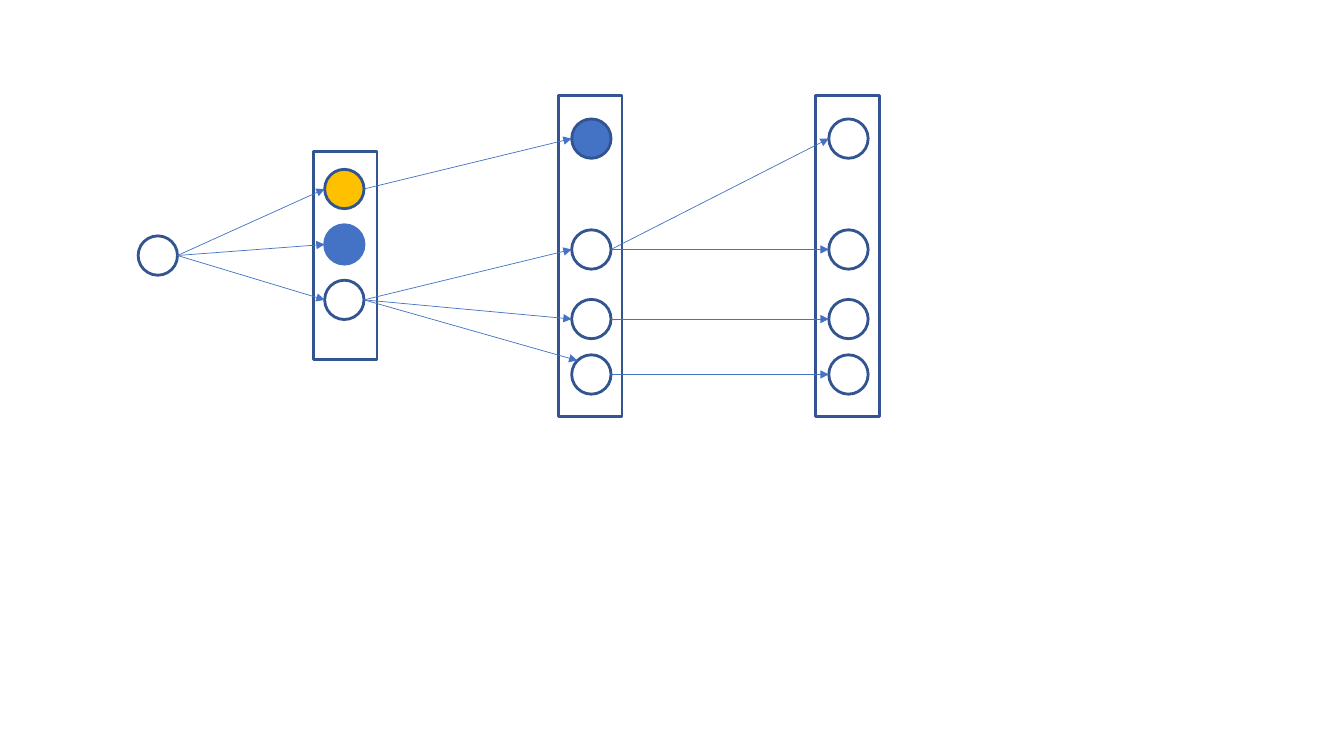
"""Build a slide with a layered tree of nodes joined by arrows."""
from math import sqrt

from lxml.etree import SubElement
from pptx import Presentation
from pptx.dml.color import RGBColor
from pptx.enum.shapes import MSO_CONNECTOR, MSO_SHAPE
from pptx.oxml.ns import qn
from pptx.util import Inches, Pt

COLORS = {"navy": "325491", "blue": "4472C4", "gold": "FFC000"}
NODE, BOX_WIDTH = 0.39, 0.63
WIDE_ROWS = [1.18, 2.28, 2.97, 3.52]

BOXES = [(3.11, 1.5, 2.07), (5.54, 0.95, 3.18), (8.09, 0.95, 3.18)]
LAYERS = [
    (1.37, [2.34]),
    (3.22, [1.68, 2.23, 2.78]),
    (5.67, WIDE_ROWS),
    (8.22, WIDE_ROWS),
]
FILLS = {(1, 0): "gold", (1, 1): "blue", (2, 0): "blue"}
OUTLINES = {(1, 1): "blue"}
ARROWS = [
    [(0, 0), (0, 1), (0, 2)],
    [(0, 0), (2, 1), (2, 2), (2, 3)],
    [(1, 0), (1, 1), (2, 2), (3, 3)],
]
CORNER_ARROW = (1, 2, 3)


def rgb(name):
    return RGBColor.from_string(COLORS[name])


def add_outlined(s, kind, x, y, w, h, fill=None, line="navy"):
    sp = s.shapes.add_shape(kind, *map(Inches, (x, y, w, h)))
    sp.shadow.inherit = False
    if fill:
        sp.fill.solid()
        sp.fill.fore_color.rgb = rgb(fill)
    else:
        sp.fill.background()
    sp.line.color.rgb = rgb(line)
    sp.line.width = Pt(2)


def add_arrow(s, start, end):
    cx = s.shapes.add_connector(MSO_CONNECTOR.STRAIGHT, *map(Inches, start + end))
    cx.line.color.rgb = rgb("blue")
    cx.line.width = Pt(0.5)
    SubElement(cx.line._get_or_add_ln(), qn("a:tailEnd"), type="triangle")
    SubElement(cx._element.spPr, qn("a:effectLst"))


def main():
    prs = Presentation()
    prs.slide_width, prs.slide_height = Inches(13.33), Inches(7.5)
    s = prs.slides.add_slide(prs.slide_layouts[6])

    for x, y, height in BOXES:
        add_outlined(s, MSO_SHAPE.RECTANGLE, x, y, BOX_WIDTH, height)

    for layer, (x, rows) in enumerate(LAYERS):
        for row, y in enumerate(rows):
            key = (layer, row)
            add_outlined(s, MSO_SHAPE.OVAL, x, y, NODE, NODE,
                         FILLS.get(key), OUTLINES.get(key, "navy"))

    radius = NODE / 2
    diagonal = radius * (1 - 1 / sqrt(2))
    for layer, pairs in enumerate(ARROWS):
        (x1, rows1), (x2, rows2) = LAYERS[layer:layer + 2]
        for a, b in pairs:
            at_corner = (layer, a, b) == CORNER_ARROW
            dx, dy = (diagonal, diagonal) if at_corner else (0, radius)
            add_arrow(s, (x1 + NODE, rows1[a] + radius), (x2 + dx, rows2[b] + dy))

    prs.save("out.pptx")


if __name__ == "__main__":
    main()
